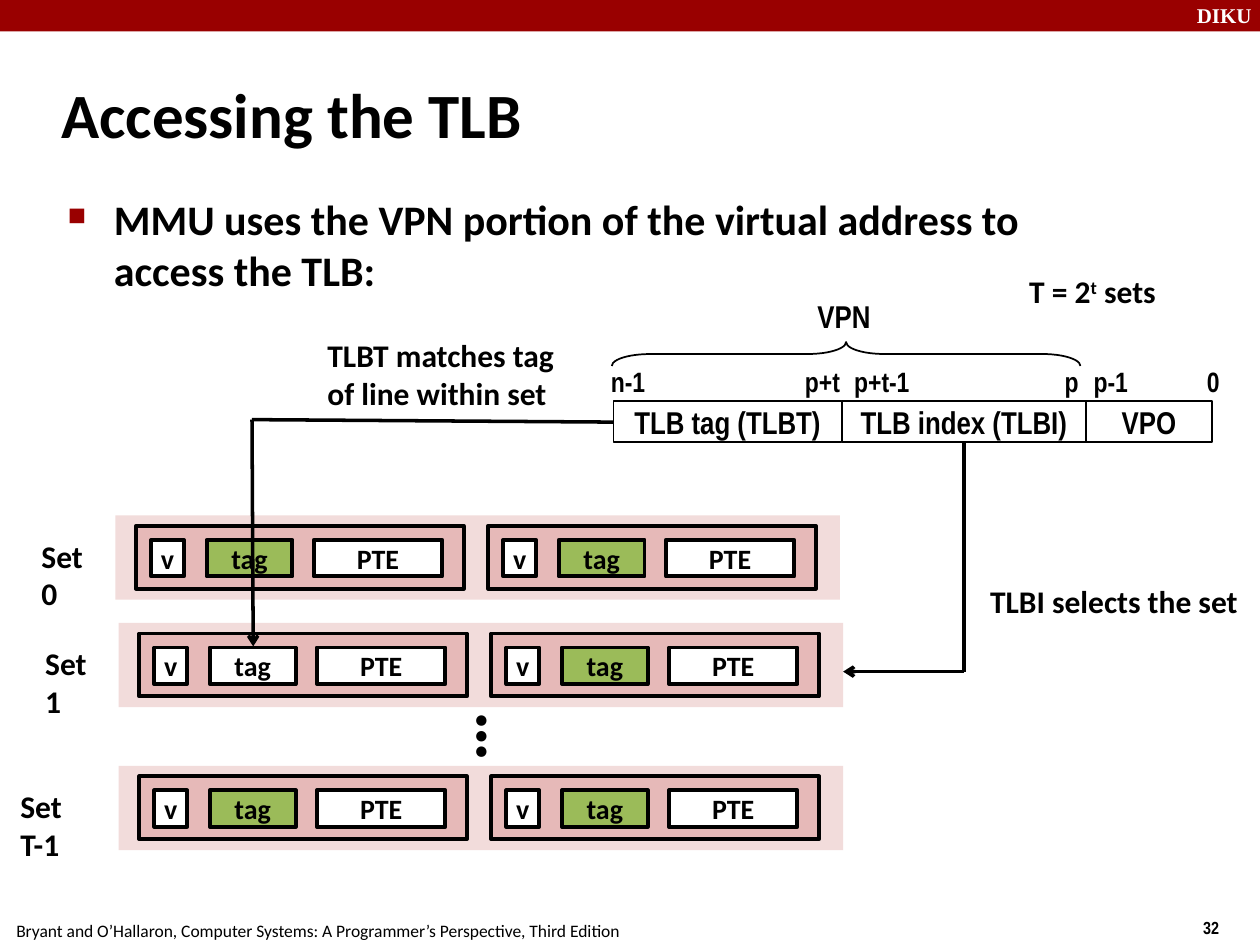
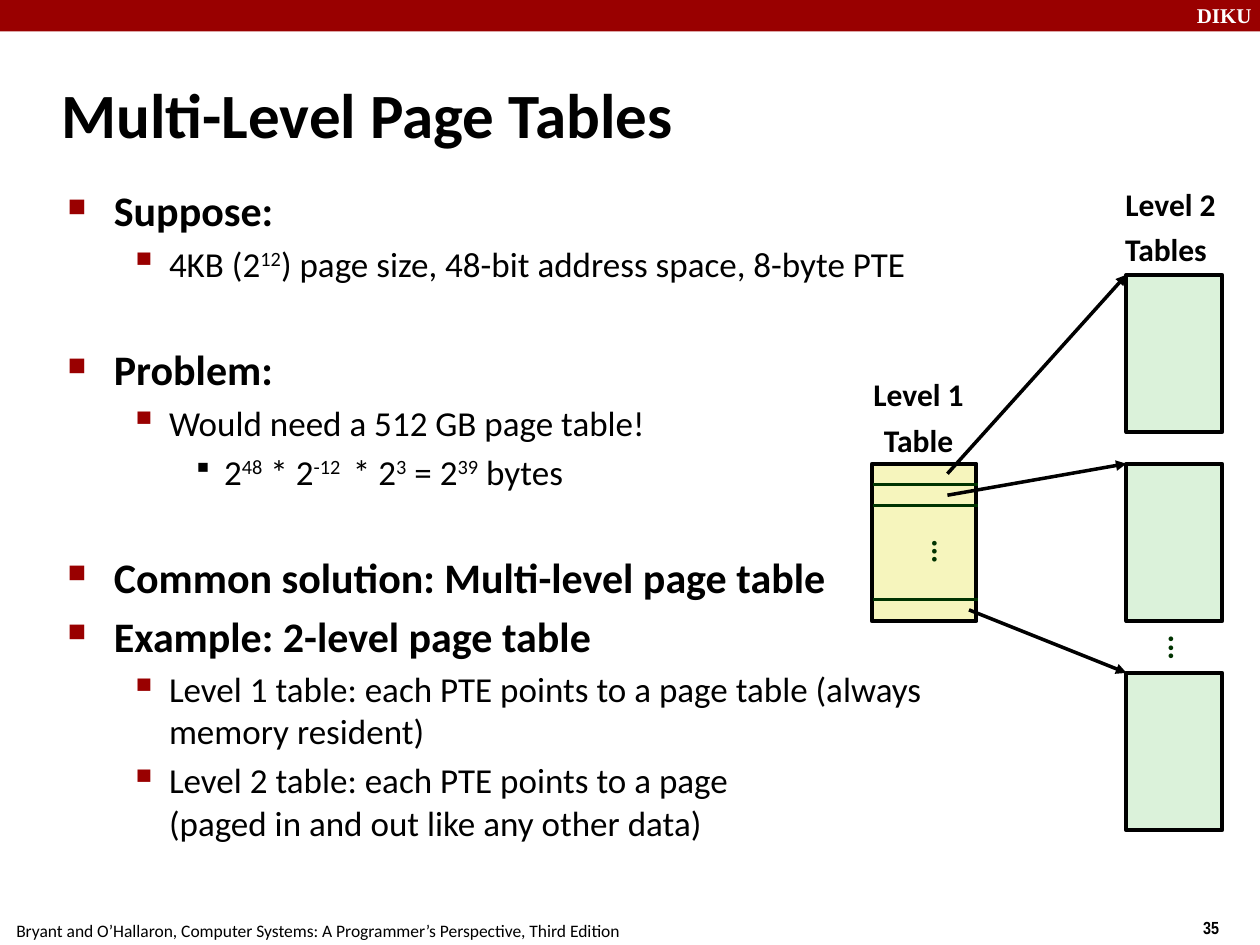
import pptx
import pptx.dml.color
import pptx.enum.shapes
import pptx.enum.text
import pptx.util
from lxml import etree
from pptx.oxml.ns import qn

Pt = pptx.util.Pt
RGBColor = pptx.dml.color.RGBColor
SHAPE = pptx.enum.shapes.MSO_SHAPE
ANCHOR = pptx.enum.text.MSO_ANCHOR
ALIGN = pptx.enum.text.PP_ALIGN

BLACK = RGBColor(0x00, 0x00, 0x00)
WHITE = RGBColor(0xFF, 0xFF, 0xFF)
RED = RGBColor(0x99, 0x00, 0x00)
PALE_PINK = RGBColor(0xF2, 0xDC, 0xDB)
PINK = RGBColor(0xE6, 0xB9, 0xB8)
TAG_GREEN = RGBColor(0x9B, 0xBB, 0x59)
YELLOW = RGBColor(0xF6, 0xF5, 0xBD)
MINT = RGBColor(0xDB, 0xF2, 0xDA)
DARK_GREEN = RGBColor(0x00, 0x33, 0x00)

BODY, NARROW, SERIF = "Calibri", "Arial Narrow", "Times New Roman"
CREDIT = ("Bryant and O’Hallaron, Computer Systems: "
          "A Programmer’s Perspective, Third Edition")

# Per level: size, bold, left margin, hanging indent, space before,
# bullet, bullet colour, bullet percent
LEVELS = [
    (24, True, 27, 26.5, 4.8, "■", RED, 60),
    (20, False, 58.5, 22.5, 4, "▪", RED, 110),
    (20, False, 90, 18, 4, "▪", BLACK, 80),
]
BLANK_LINE = 29.2


class Deck:
    """Holds the presentation, its style and the current slide."""

    def __init__(self):
        self.prs = pptx.Presentation()
        self.prs.slide_width, self.prs.slide_height = Pt(720), Pt(540)
        self.s = None

    def slide(self, title, number):
        """Start a slide with the band, footer and title all slides share."""
        self.s = self.prs.slides.add_slide(self.prs.slide_layouts[6])
        self.rect(0, 0, 720, 18, RED, line=None)
        self.text(676.8, -2.2, 48, 21.6, "DIKU", 12, SERIF, WHITE, wrap=True)
        self.text(680.4, 520.6, 54, 20.9, number, 10, NARROW)
        self.text(2.2, 522, 359.3, 18.7, CREDIT, 10, bold=False)
        self.text(28, 34.6, 597.6, 59.8, title, 36, wrap=True, middle=True)

    def write_line(self, p, text, size, font=BODY, color=BLACK, bold=True):
        """Fill a paragraph; text between carets is raised."""
        base, *rest = text.split("^")
        p.text = base
        for i, part in enumerate(rest):
            r = p.add_run()
            r.text = part
            if i % 2 == 0:
                r._r.get_or_add_rPr().set("baseline", "30000")
        for r in p.runs:
            r.font.size, r.font.name, r.font.bold = Pt(size), font, bold
            r.font.color.rgb = color

    def text(self, x, y, w, h, text, size=18, font=BODY, color=BLACK,
             bold=True, wrap=False, middle=False, aligns=(), tight=False,
             rotation=0, vert=None):
        sp = self.s.shapes.add_textbox(Pt(x), Pt(y), Pt(w), Pt(h))
        sp.rotation = rotation
        tf = sp.text_frame
        tf.word_wrap = wrap
        tf.vertical_anchor = ANCHOR.MIDDLE if middle else ANCHOR.TOP
        if vert:
            tf._txBody.bodyPr.set("vert", vert)
        tf.text = text
        for p in tf.paragraphs:
            self.write_line(p, p.text, size, font, color, bold)
            if tight:
                p.line_spacing, p.space_before = 0.88, Pt(6.8)
        for p, align in zip(tf.paragraphs, aligns):
            p.alignment = align

    def bullets(self, x, y, w, h, items):
        """Items are (level, text, extra space above)."""
        sp = self.s.shapes.add_textbox(Pt(x), Pt(y), Pt(w), Pt(h))
        tf = sp.text_frame
        tf.word_wrap = True
        for i, (level, text, gap) in enumerate(items):
            size, bold, left, hang, before, char, color, pct = LEVELS[level]
            p = tf.add_paragraph() if i else tf.paragraphs[0]
            self.write_line(p, text, size, bold=bold)
            p.level = level
            p.space_before = Pt(before + gap)
            pPr = p._p.get_or_add_pPr()
            pPr.set("marL", str(Pt(left)))
            pPr.set("indent", str(-Pt(hang)))
            clr = etree.SubElement(pPr, qn("a:buClr"))
            etree.SubElement(clr, qn("a:srgbClr"), val=str(color))
            etree.SubElement(pPr, qn("a:buSzPct"), val=str(pct * 1000))
            etree.SubElement(pPr, qn("a:buChar"), char=char)

    def rect(self, x, y, w, h, fill, line=2.25, text="", size=16, font=BODY,
             kind=SHAPE.RECTANGLE):
        sp = self.s.shapes.add_shape(kind, Pt(x), Pt(y), Pt(w), Pt(h))
        sp.shadow.inherit = False
        if fill is None:
            sp.fill.background()
        else:
            sp.fill.solid()
            sp.fill.fore_color.rgb = fill
        if line is None:
            sp.line.fill.background()
        else:
            sp.line.color.rgb, sp.line.width = BLACK, Pt(line)
        if text:
            tf = sp.text_frame
            tf.word_wrap = False
            tf.vertical_anchor = ANCHOR.MIDDLE
            p = tf.paragraphs[0]
            self.write_line(p, text, size, font)
            p.alignment = ALIGN.CENTER
        return sp

    def line(self, x1, y1, x2, y2, width=2, color=BLACK, arrow=None):
        c = self.s.shapes.add_connector(
            pptx.enum.shapes.MSO_CONNECTOR.STRAIGHT,
            Pt(x1), Pt(y1), Pt(x2), Pt(y2))
        c.line.color.rgb, c.line.width = color, Pt(width)
        if arrow:
            etree.SubElement(c.line._get_or_add_ln(), qn("a:tailEnd"), type=arrow)
        etree.SubElement(c._element.spPr, qn("a:effectLst"))

    def cache_set(self, x, y, label, label_x, first_tag=TAG_GREEN):
        """One TLB set: a band with two lines of v, tag and PTE."""
        self.rect(x, y, 414, 48.2, PALE_PINK, line=None)
        for i, tag_fill in enumerate((first_tag, TAG_GREEN)):
            left, top = x + 11.8 + 201.2 * i, y + 6
            self.rect(left, top, 187.2, 36, PINK)
            for dx, w, text, fill in ((101.5, 73.4, "PTE", WHITE),
                                      (40.3, 49, "tag", tag_fill),
                                      (8.6, 18.7, "v", WHITE)):
                self.rect(left + dx, top + 8, w, 20.9, fill, text=text)
        self.text(label_x, y + 8.6, 51, 28.8, label)


def tlb_slide(d):
    d.slide("Accessing the TLB", "32")
    d.bullets(31, 107.3, 621.4, 67, [
        (0, "MMU uses the VPN portion of the virtual address to access the TLB:", 0)])

    # Virtual address fields
    for x, w, text, fill in ((350.6, 130.4, "TLB tag (TLBT)", WHITE),
                             (481, 139.6, "TLB index (TLBI)", None),
                             (620.6, 72, "VPO", None)):
        d.rect(x, 229, w, 23.8, fill, 1, text, 18, NARROW)
    for x, w, text in ((682.6, 21.6, "0"), (617.8, 33.8, "p-1"),
                       (601.2, 22.3, "p"), (342, 33.8, "n-1"),
                       (481, 46, "p+t-1"), (452.9, 34.6, "p+t")):
        d.text(x, 205.2, w, 25.9, text, 16, NARROW, middle=True)
    brace = d.rect(476.6, 68.4, 13.7, 267.8, None, 1, kind=SHAPE.LEFT_BRACE)
    brace.rotation = 90
    brace.adjustments[0] = 1.6
    d.text(460, 166.3, 44.6, 28.8, "VPN", font=NARROW, middle=True)

    # Sets
    d.cache_set(66, 294.5, "Set 0", 16.6)
    d.cache_set(67.8, 356, "Set 1", 18.7, first_tag=WHITE)
    d.cache_set(67.8, 437.6, "Set T-1", 4.5)
    d.text(240.5, 393.8, 42.5, 54.7, "…", 40, rotation=270)

    # Lookup arrows and notes
    d.text(581, 151.9, 90, 28.8, "T = 2^t^ sets", wrap=True)
    d.line(550.8, 252.8, 550.8, 383.8)
    d.line(550.8, 383.8, 481.8, 383.8, arrow="arrow")
    d.text(558.7, 329, 156.2, 28.8, "TLBI selects the set")
    d.line(350.6, 241.2, 144, 239.8)
    d.line(144, 239.8, 144.7, 369.4, arrow="arrow")
    d.text(180, 188.6, 162, 50.4, "TLBT matches tag of line within set", wrap=True)


def page_table_slide(d):
    d.slide("Multi-Level Page Tables", "35")
    d.bullets(31, 102.2, 545, 391.7, [
        (0, "Suppose:", 0),
        (1, "4KB (2^12^) page size, 48-bit address space, 8-byte PTE", 0),
        (0, "Problem:", BLANK_LINE),
        (1, "Would need a 512 GB page table!", 0),
        (2, "2^48^ * 2^-12 ^ * 2^3^ = 2^39^ bytes", 0),
        (0, "Common solution: Multi-level page table", BLANK_LINE),
        (0, "Example: 2-level page table", 0),
        (1, "Level 1 table: each PTE points to a page table (always memory resident)", 0),
        (1, "Level 2 table: each PTE points to a page \v"
            "(paged in and out like any other data)", 0),
    ])

    # Tables
    d.text(491.8, 213.8, 66.2, 54, "Level 1\nTable", tight=True,
           aligns=(ALIGN.CENTER, ALIGN.CENTER))
    d.rect(498.2, 265, 59.8, 90, YELLOW)
    level2_tops = (157, 265, 384.5)
    for y in level2_tops:
        d.rect(643.7, y, 54.7, 90, MINT)
    d.text(651.6, 355.7, 28.8, 28.8, "...", color=DARK_GREEN, tight=True,
           rotation=270)
    d.text(635.8, 105.1, 66.2, 54, "Level 2\nTables", tight=True,
           aligns=(ALIGN.CENTER, ALIGN.LEFT))

    # Pointers and entries
    for (x, y), top in zip(((541.4, 270.7), (541.4, 283), (553.7, 348.5)),
                           level2_tops):
        d.line(x, y, 643.7, top, arrow="triangle")
    for y in (276.8, 288.7, 342.7):
        d.line(499, y, 558.7, y, 1.5, DARK_GREEN)
    d.text(517.7, 301, 33.8, 21.6, "...", color=DARK_GREEN, tight=True,
           vert="vert")


def main():
    d = Deck()
    tlb_slide(d)
    page_table_slide(d)
    d.prs.save("out.pptx")


if __name__ == "__main__":
    main()
